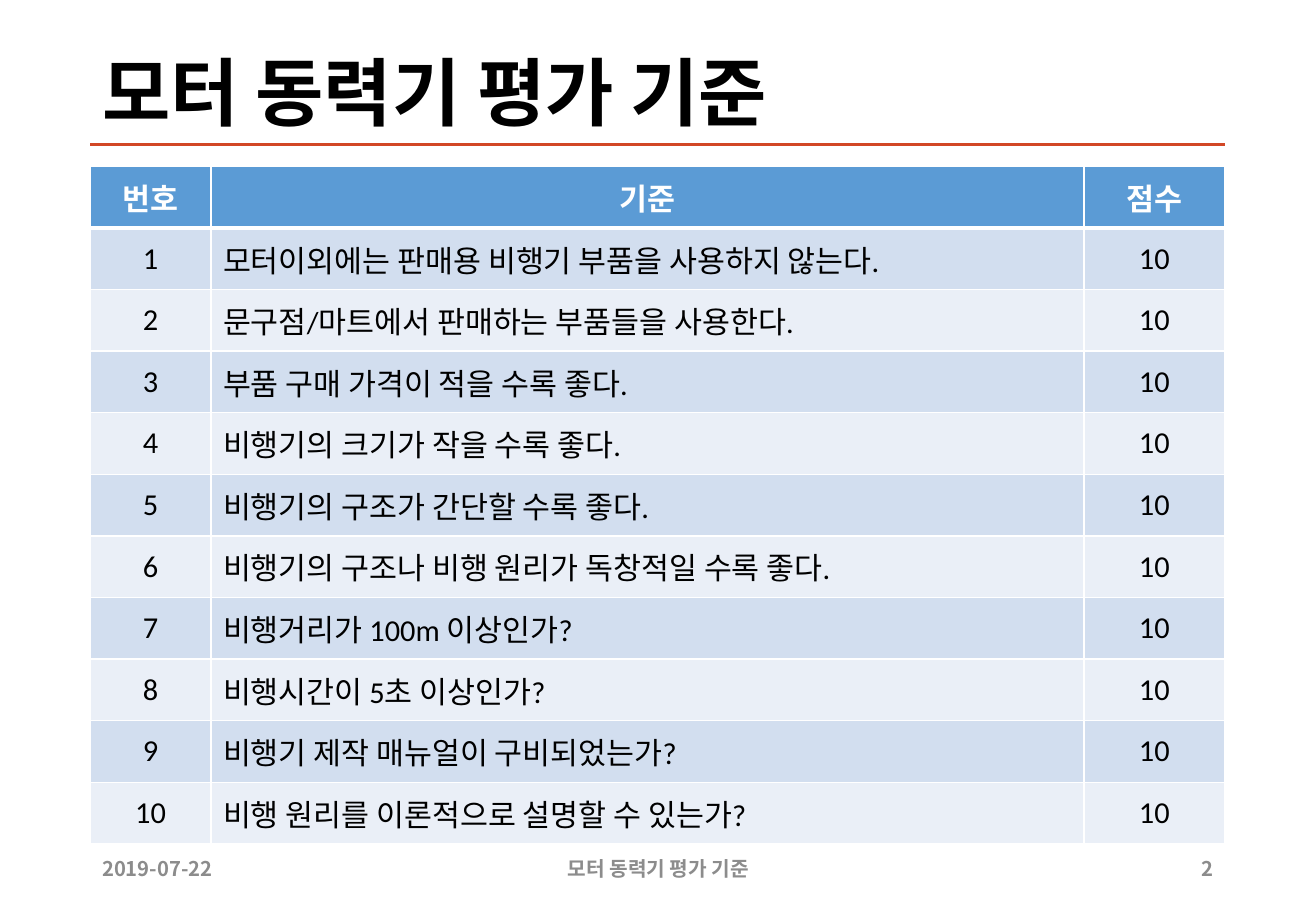
from lxml import etree
from pptx import Presentation
from pptx.dml.color import RGBColor
from pptx.enum.shapes import MSO_CONNECTOR
from pptx.enum.text import MSO_ANCHOR, PP_ALIGN
from pptx.oxml.ns import qn
from pptx.util import Pt

LEFT, CENTER, RIGHT = PP_ALIGN.LEFT, PP_ALIGN.CENTER, PP_ALIGN.RIGHT
MIDDLE = MSO_ANCHOR.MIDDLE
STRAIGHT = MSO_CONNECTOR.STRAIGHT

TITLE = "모터 동력기 평가 기준"
HEADINGS = ("번호", "기준", "점수")
CRITERIA = [
    "모터이외에는 판매용 비행기 부품을 사용하지 않는다.",
    "문구점/마트에서 판매하는 부품들을 사용한다.",
    "부품 구매 가격이 적을 수록 좋다.",
    "비행기의 크기가 작을 수록 좋다.",
    "비행기의 구조가 간단할 수록 좋다.",
    "비행기의 구조나 비행 원리가 독창적일 수록 좋다.",
    "비행거리가 100m 이상인가?",
    "비행시간이 5초 이상인가?",
    "비행기 제작 매뉴얼이 구비되었는가?",
    "비행 원리를 이론적으로 설명할 수 있는가?",
]
SCORE = "10"
# Footer text, left, width, alignment
FOOTERS = [
    ("2019-07-22", 53.5, 91.5, LEFT),
    (TITLE, 258.5, 263.5, CENTER),
    ("2", 688, 38, RIGHT),
]

COLORS = {
    "rule": "D24726", "header": "5B9BD5", "odd": "D2DEEF", "even": "EAEFF7",
    "white": "FFFFFF", "black": "000000", "footer": "8C8C8C",
}
KOREAN = "Noto Sans CJK KR"
COLUMNS = (71.5, 517.5, 83.5)
ALIGNMENTS = (CENTER, LEFT, CENTER)
EDGE, WIDTH = 53.5, sum(COLUMNS)
TITLE_TOP, TITLE_HEIGHT = 28.8, 57
TABLE_TOP, ROW_HEIGHT = 98.6, 36.53
FOOTER_TOP, FOOTER_HEIGHT = 500.4, 28.8


def color(name):
    """Return the named colour."""
    return RGBColor.from_string(COLORS[name])


def style(para, size, face, ink, bold, align):
    """Set the font and alignment of a paragraph."""
    para.alignment = align
    font = para.font
    font.size, font.name, font.bold = Pt(size), face, bold
    font.color.rgb = color(ink)
    properties = para._p.pPr.find(qn("a:defRPr"))
    etree.SubElement(properties, qn("a:ea"), typeface=KOREAN)


def add_text(page, text, left, top, width, height, *look):
    """Add a middle-anchored text box and return its paragraph."""
    box = page.shapes.add_textbox(Pt(left), Pt(top), Pt(width), Pt(height))
    frame = box.text_frame
    frame.word_wrap, frame.vertical_anchor = True, MIDDLE
    frame.text = text
    para = frame.paragraphs[0]
    style(para, *look)
    return para


def add_rule(page, top):
    """Draw the line under the title."""
    rule = page.shapes.add_connector(
        STRAIGHT, Pt(EDGE), Pt(top), Pt(EDGE + WIDTH), Pt(top))
    rule.line.color.rgb, rule.line.width = color("rule"), Pt(2)
    etree.SubElement(rule._element.spPr, qn("a:effectLst"))


def set_borders(cell, top, bottom):
    """Give a cell white borders, with top and bottom widths in points."""
    properties = cell._tc.get_or_add_tcPr()
    for side, width in (("L", 1), ("R", 1), ("T", top), ("B", bottom)):
        line = etree.SubElement(
            properties, qn(f"a:ln{side}"), w=str(int(Pt(width))))
        fill = etree.SubElement(line, qn("a:solidFill"))
        etree.SubElement(fill, qn("a:srgbClr"), val=COLORS["white"])


def add_criteria_table(page):
    """Add the table of numbered criteria and scores."""
    rows = [HEADINGS] + [
        (str(number), text, SCORE) for number, text in enumerate(CRITERIA, 1)]
    table = page.shapes.add_table(
        len(rows), len(COLUMNS), Pt(EDGE), Pt(TABLE_TOP),
        Pt(WIDTH), Pt(ROW_HEIGHT * len(rows))).table
    for column, width in zip(table.columns, COLUMNS):
        column.width = Pt(width)
    for index, values in enumerate(rows):
        table.rows[index].height = Pt(ROW_HEIGHT)
        header = index == 0
        shade = "header" if header else ("even", "odd")[index % 2]
        ink = "white" if header else "black"
        for cell, text, align in zip(
                table.rows[index].cells, values, ALIGNMENTS):
            set_borders(cell, 3 if index == 1 else 1, 3 if header else 1)
            cell.fill.solid()
            cell.fill.fore_color.rgb = color(shade)
            cell.vertical_anchor = MIDDLE
            cell.text = text
            style(cell.text_frame.paragraphs[0], 18, "Calibri", ink,
                  header, CENTER if header else align)


deck = Presentation()
deck.slide_width, deck.slide_height = Pt(780), Pt(540)
page = deck.slides.add_slide(deck.slide_layouts[6])

add_rule(page, TITLE_TOP + TITLE_HEIGHT)
title = add_text(page, TITLE, EDGE, TITLE_TOP, WIDTH, TITLE_HEIGHT,
                 44, "Times New Roman", "black", True, LEFT)
title.line_spacing = 0.9
add_criteria_table(page)
for text, left, width, align in FOOTERS:
    add_text(page, text, left, FOOTER_TOP, width, FOOTER_HEIGHT,
             12, KOREAN, "footer", True, align)

deck.save("out.pptx")
